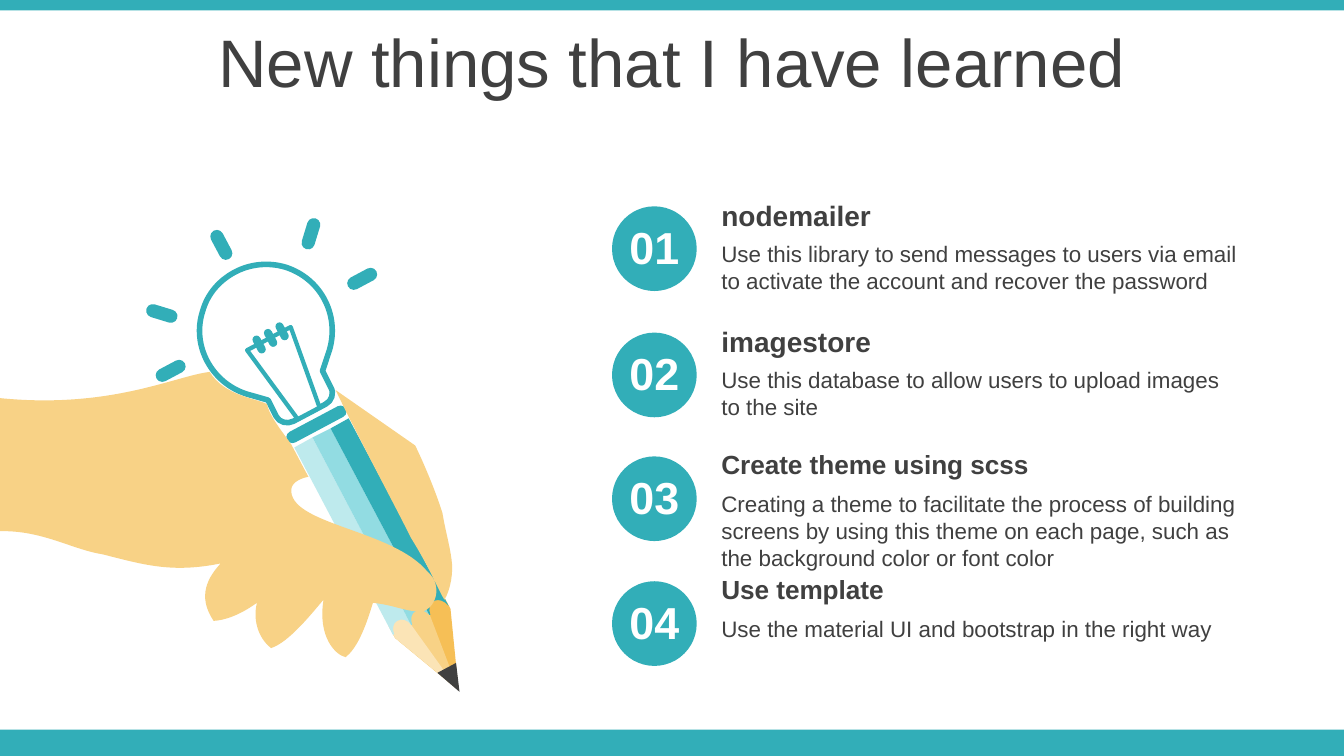
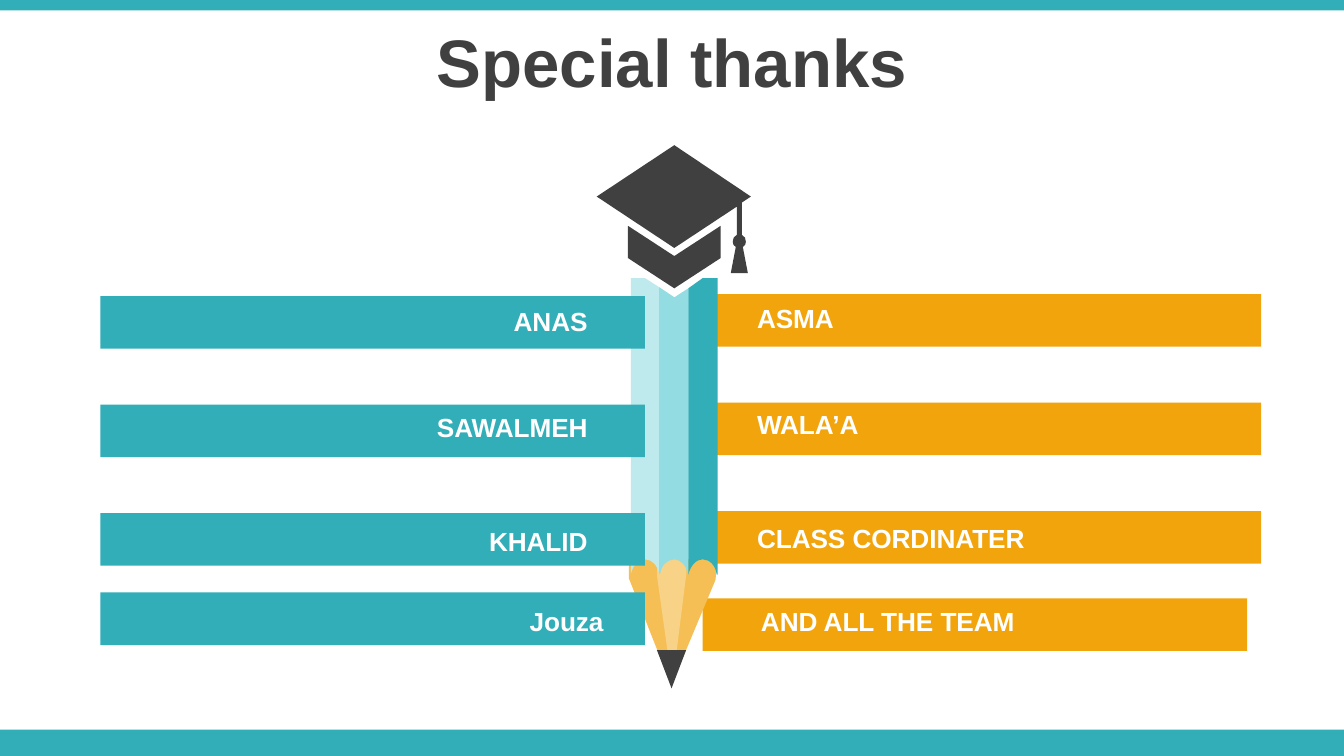
from typing import NamedTuple

from lxml import etree
from pptx import Presentation
from pptx.dml.color import RGBColor
from pptx.enum.shapes import MSO_SHAPE
from pptx.enum.text import MSO_ANCHOR, PP_ALIGN
from pptx.oxml.ns import qn
from pptx.shapes.autoshape import Shape
from pptx.slide import Slide
from pptx.text.text import TextFrame
from pptx.util import Pt

RECTANGLE, ELLIPSE = MSO_SHAPE.RECTANGLE, MSO_SHAPE.OVAL
ROUNDED, TRIANGLE, TRAPEZOID = MSO_SHAPE.ROUNDED_RECTANGLE, MSO_SHAPE.ISOSCELES_TRIANGLE, MSO_SHAPE.TRAPEZOID
LEFT, CENTER, RIGHT = PP_ALIGN.LEFT, PP_ALIGN.CENTER, PP_ALIGN.RIGHT
TOP, MIDDLE = MSO_ANCHOR.TOP, MSO_ANCHOR.MIDDLE

FONT = "Arial"
WHITE, DARK, ORANGE = "FFFFFF", "404040", "F2A40D"
TEAL, TEAL_MID, TEAL_PALE = "32AEB8", "92DCE2", "BEEAED"
WOOD, SKIN, WOOD_PALE = "F6BF56", "F8D286", "FBE4B6"

PAGE_WIDTH, PAGE_HEIGHT = 960, 540
GRID = 0.72  # points per unit of an outline

Point = tuple[float, float]
Insets = tuple[float, float, float, float]


class Outline(NamedTuple):
    path_text: str
    fill: str
    line: str | None = None
    line_width: float = 0


class Ray(NamedTuple):
    left: float
    top: float
    rotation: float


class Lesson(NamedTuple):
    top: float
    heading: str
    heading_size: float
    body: str
    body_height: float


class Banner(NamedTuple):
    text: str
    left: float
    top: float
    inset: float
    rise: float  # how far the text sits above the middle


HAND_PENCIL = [
    Outline("M 385 620 L 440 591 447 604 455 685 392 633", WOOD),
    Outline("M 403 610 L 421 600 426 609 455 685 409 623", SKIN),
    Outline("M 385 620 L 403 610 C 405 613 407 617 408 620 L 454 684 392 633", WOOD_PALE),
    Outline("M 292 444 L 310 434 408 620 C 404 615 399 613 394 616 390 618 389 624 391 629 "
            "L 390 630", TEAL_PALE),
    Outline("M 310 434 L 328 425 426 610 C 422 606 417 604 413 606 408 608 407 614 409 620 "
            "L 408 620", TEAL_MID),
    Outline("M 328 425 L 346 415 445 601 C 441 596 435 594 431 596 426 599 425 604 427 610 "
            "L 426 610", TEAL),
]
BULB = Outline(
    "M 233 270 C 248 262 266 260 283 265 318 276 337 312 327 347 L 320 368 328 384 "
    "C 332 390 329 398 323 401 L 308 409 291 418 C 285 421 277 419 274 413 L 266 397 "
    "C 259 395 252 393 245 391 210 380 190 343 201 309 206 291 218 278 233 270",
    WHITE, TEAL, 4)
HAND = Outline(
    "M 333 387 L 412 442 C 423 465 433 490 439 509 442 527 446 540 448 555 "
    "450 568 447 585 441 595 435 586 429 568 408 534 391 500 352 427 333 387 "
    "M 208 369 C 223 393 254 395 265 401 267 413 283 432 289 441 296 454 300 462 306 473 "
    "296 475 288 480 289 488 292 521 390 526 424 567 441 582 431 605 418 607 "
    "399 606 394 601 370 598 362 625 354 643 343 652 333 650 315 632 321 595 "
    "309 609 287 637 269 643 255 632 251 613 255 598 244 606 228 615 212 616 "
    "195 591 207 572 219 559 170 569 142 560 102 550 71 545 42 526 0 527 "
    "L 0 395 C 110 406 174 373 208 369", SKIN)
RAYS = [Ray(217.4, 155.5, 17), Ray(110.9, 212.4, 287), Ray(153.4, 163.4, 332),
        Ray(254, 187.7, 62), Ray(117.2, 253.4, 242)]

UPRIGHT_PENCIL = [
    Outline("M 624 554 L 711 555 710 575 666 680 624 574", WOOD),
    Outline("M 652 553 L 681 553 681 568 667 680 652 573", SKIN),
    Outline("M 626 276 L 640 276 654 285 654 569 C 652 561 647 555 640 555 633 555 628 561 626 569",
            TEAL_PALE),
    Outline("M 654 285 L 669 295 683 286 683 569 682 569 C 681 561 675 555 669 555 "
            "662 555 656 561 655 569 L 654 569", TEAL_MID),
    Outline("M 697 276 L 712 276 712 570 711 570 C 710 561 704 555 697 555 "
            "691 555 685 561 683 570 L 683 286", TEAL),
]
GRADUATION_CAP = Outline(
    "M 623 224 L 669 254 715 224 715 256 669 286 623 256 "
    "M 669 144 L 745 195 736 201 736 233 C 739 234 740 237 740 240 740 242 739 244 737 245 "
    "L 742 271 725 271 730 245 C 728 244 727 242 727 240 727 237 728 234 731 233 "
    "L 731 205 669 246 592 195", DARK)

LESSONS = [
    Lesson(147.4, "nodemailer", 20, "Use this library to send messages to users via email "
           "to activate the account and recover the password", 46),
    Lesson(237.6, "imagestore", 20,
           "Use this database to allow users to upload images to the site", 46),
    Lesson(326, "Create theme using scss", 18.67,
           "Creating a theme to facilitate the process of building screens by using this theme "
           "on each page, such as the background color or font color", 65.5),
    Lesson(415.2, "Use template", 18.67, "Use the material UI and bootstrap in the right way", 26.6),
]

ORANGE_BANNERS = [
    Banner("AND ALL THE TEAM", 502, 427.4, 41.6, 2.7),
    Banner("ASMA", 512, 210.1, 28.8, 1.4),
    Banner("WALA’A", 512, 287.6, 28.8, 3.6),
    Banner("CLASS CORDINATER", 512, 365.1, 28.8, -0.7),
]
TEAL_BANNERS = [
    Banner("ANAS", 71.8, 211.5, 41, 0.7),
    Banner("SAWALMEH", 71.8, 289, 41, 2.9),
    Banner("KHALID", 71.8, 366.5, 41, -1.5),
    Banner("Jouza", 71.8, 423.2, 29.5, -1.5),
]


def paint(shape: Shape, fill: str, line: str | None = None, line_width: float = 0) -> None:
    shape.shadow.inherit = False
    shape.fill.solid()
    shape.fill.fore_color.rgb = RGBColor.from_string(fill)
    if line is None:
        shape.line.fill.background()
    else:
        shape.line.color.rgb = RGBColor.from_string(line)
        shape.line.width = Pt(line_width)


def add_preset(page: Slide, kind: MSO_SHAPE, left: float, top: float, width: float, height: float,
               fill: str, *, rotation: float = 0, line: str | None = None,
               line_width: float = 0) -> Shape:
    shape = page.shapes.add_shape(kind, Pt(left), Pt(top), Pt(width), Pt(height))
    shape.rotation = rotation
    if kind == ROUNDED:
        shape.adjustments[0] = 0.5
    paint(shape, fill, line, line_width)
    return shape


def trace(path_text: str) -> tuple[list[list[Point]], list[int]]:
    """Return the contours in grid units, and the point count of each segment after a start."""
    contours: list[list[Point]] = []
    segments: list[int] = []
    command, values = "", []
    for token in path_text.split():
        if token.isalpha():
            command = token
            if command == "M":
                contours.append([])
            continue
        values.append(float(token))
        if len(values) == (6 if command == "C" else 2):
            contours[-1].extend(zip(values[::2], values[1::2]))
            if command != "M":
                segments.append(len(values) // 2)
            values = []
    return contours, segments


def bend_lines(shape: Shape, segments: list[int]) -> None:
    """Merge each run of three lines that stands for a cubic curve into that curve."""
    lines = iter(list(shape.element.iter(qn("a:lnTo"))))
    for count in segments:
        first, *others = [next(lines) for _ in range(count)]
        if not others:
            continue
        curve = etree.Element(qn("a:cubicBezTo"))
        first.addprevious(curve)
        for line in (first, *others):
            curve.append(line[0])
            line.getparent().remove(line)


def add_outline(page: Slide, outline: Outline) -> None:
    contours, segments = trace(outline.path_text)
    builder = page.shapes.build_freeform(*contours[0][0], scale=Pt(GRID))
    for index, contour in enumerate(contours):
        if index:
            builder.move_to(*contour[0])
        builder.add_line_segments(contour[1:], close=True)
    shape = builder.convert_to_shape()
    bend_lines(shape, segments)
    paint(shape, outline.fill, outline.line, outline.line_width)


def write(frame: TextFrame, text: str, *, size: float, color: str = DARK, bold: bool = False,
          align: PP_ALIGN = LEFT, anchor: MSO_ANCHOR = TOP, wrap: bool = True,
          insets: Insets = (7.2, 3.6, 7.2, 3.6)) -> None:
    """Fill a frame; insets are left, top, right, bottom."""
    frame.word_wrap = wrap
    frame.vertical_anchor = anchor
    frame.margin_left, frame.margin_top, frame.margin_right, frame.margin_bottom = map(Pt, insets)
    para = frame.paragraphs[0]
    para.alignment = align
    span = para.add_run()
    span.text = text
    span.font.name = FONT
    span.font.size = Pt(size)
    span.font.bold = bold
    span.font.color.rgb = RGBColor.from_string(color)


def add_box(page: Slide, left: float, top: float, width: float, height: float) -> TextFrame:
    return page.shapes.add_textbox(Pt(left), Pt(top), Pt(width), Pt(height)).text_frame


def add_page(deck: Presentation, title: str, *, bold: bool = False) -> Slide:
    """Add a page with the shared bands and title."""
    page = deck.slides.add_slide(deck.slide_layouts[6])
    add_preset(page, RECTANGLE, 0, 521.2, PAGE_WIDTH, 18.8, TEAL)
    add_preset(page, RECTANGLE, 0, 0, PAGE_WIDTH, 7.5, TEAL)
    write(add_box(page, 0, 12.8, PAGE_WIDTH, 60.5), title, size=48, bold=bold,
          align=CENTER, anchor=MIDDLE)
    return page


def draw_hand_with_bulb(page: Slide) -> None:
    for outline in HAND_PENCIL:
        add_outline(page, outline)
    add_preset(page, TRIANGLE, 316.1, 475.9, 15.1, 19.4, DARK, rotation=152)
    add_outline(page, BULB)
    add_preset(page, TRAPEZOID, 188.6, 238.3, 35.3, 60.5, WHITE, rotation=152,
               line=TEAL, line_width=3)
    for ray in RAYS:
        add_preset(page, ROUNDED, ray.left, ray.top, 9.4, 23, TEAL, rotation=ray.rotation)
    add_preset(page, ROUNDED, 202.3, 298.8, 47.5, 8.6, TEAL, rotation=332)
    for coil in range(3):
        add_preset(page, ROUNDED, 182.2 + 8.2 * coil, 239.2 - 4.7 * coil, 5.8, 13.7, TEAL,
                   rotation=332)
    add_outline(page, HAND)


def add_lesson(page: Slide, number: int, lesson: Lesson) -> None:
    circle = add_preset(page, ELLIPSE, 437.2, lesson.top, 60.5, 60.5, TEAL)
    write(circle.text_frame, f"{number:02}", size=32, color=WHITE, bold=True, align=CENTER,
          anchor=MIDDLE, wrap=False, insets=(0, 0, 0, 2.9))
    write(add_box(page, 508.2, lesson.top - 9, 385.2, 31), lesson.heading,
          size=lesson.heading_size, bold=True)
    write(add_box(page, 508.2, lesson.top + 20.5, 385.2, lesson.body_height), lesson.body, size=16)


def add_banner(page: Slide, banner: Banner, fill: str, align: PP_ALIGN) -> None:
    bar = add_preset(page, RECTANGLE, banner.left, banner.top, 388.8, 37.6, fill)
    shift = 2 * banner.rise
    write(bar.text_frame, banner.text, size=18.67, color=WHITE, bold=True, align=align,
          anchor=MIDDLE, insets=(banner.inset, max(0, -shift), banner.inset, max(0, shift)))


def draw_graduate_pencil(page: Slide) -> None:
    for outline in UPRIGHT_PENCIL:
        add_outline(page, outline)
    add_preset(page, TRIANGLE, 469.2, 464.3, 20.9, 27.4, DARK, rotation=180)
    add_outline(page, GRADUATION_CAP)


def main() -> None:
    deck = Presentation()
    deck.slide_width, deck.slide_height = Pt(PAGE_WIDTH), Pt(PAGE_HEIGHT)

    lessons_page = add_page(deck, "New things that I have learned")
    draw_hand_with_bulb(lessons_page)
    for number, lesson in enumerate(LESSONS, start=1):
        add_lesson(lessons_page, number, lesson)

    thanks_page = add_page(deck, "Special thanks", bold=True)
    for banner in ORANGE_BANNERS:
        add_banner(thanks_page, banner, ORANGE, LEFT)
    draw_graduate_pencil(thanks_page)
    for banner in TEAL_BANNERS:
        add_banner(thanks_page, banner, TEAL, RIGHT)

    deck.save("out.pptx")


if __name__ == "__main__":
    main()
